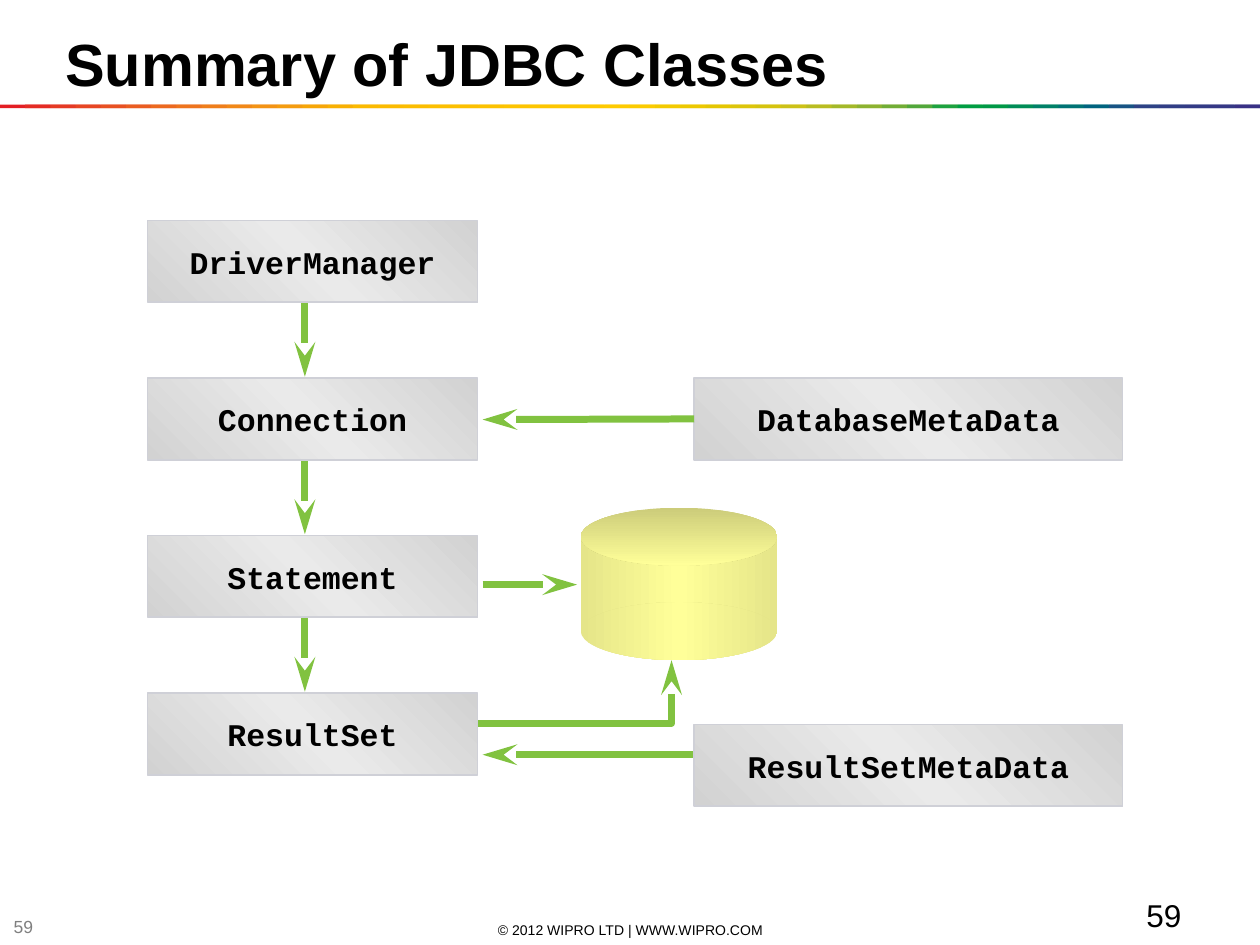
from copy import deepcopy

from pptx import Presentation
from pptx.dml.color import RGBColor as RGB
from pptx.enum.shapes import MSO_CONNECTOR as LINK, MSO_SHAPE as FORM
from pptx.enum.text import MSO_ANCHOR as ANCHOR, PP_ALIGN as ALIGN
from pptx.oxml.ns import qn
from pptx.oxml.xmlchemy import OxmlElement as Tag
from pptx.util import Inches, Pt

COLORS = {
    "text": "000000", "muted": "7F7F7F", "arrow": "81C240", "edge": "CFD0D7",
    "gray": "D2D2D2", "light": "EAEAEA",
    "shade": "E5E589", "glow": "FFFF99", "lid": "CCCC7A",
}
RAINBOW = """
E31E24 E42C24 E53A24 E74623 E85122 EA5D21 EC691F EE741D EF7E1A F18817
F39314 F49C0F F6A607 F8B002 FBBA00 FBBB00 FBBD00 FCBF00 FCC000 FCC200
FDC400 FDC600 FDC700 FEC900 FECB00 FBCB00 F3CA00 ECC800 E4C602 DCC50A
D5C30E CCC117 B8BC21 A3B829 8CB230 71AD36 51A73B 1DA240 009D43 009846
008C57 008068 007275 00637F 185384 2E4285 313E85 333B85 353885 393185
""".split()


class Deck:
    """Holds the style and the current slide."""
    sans, mono = "Arial", "Courier New"

    def __init__(self):
        self.prs = Presentation()
        self.prs.slide_width, self.prs.slide_height = Inches(10), Inches(7.5)
        self.slide = self.prs.slides.add_slide(self.prs.slide_layouts[6])
        self.shapes = self.slide.shapes

    def words(self, shape, text, size, face, color="text", bold=False,
              align=ALIGN.LEFT, anchor=ANCHOR.MIDDLE, wrap=True):
        frame = shape.text_frame
        frame.text = text
        frame.word_wrap, frame.vertical_anchor = wrap, anchor
        para = frame.paragraphs[0]
        para.alignment = align
        font = para.runs[0].font
        font.size, font.name, font.bold = Pt(size), face, bold
        font.color.rgb = RGB.from_string(COLORS[color])

    def label(self, text, x, y, w, h, size, **style):
        box = self.shapes.add_textbox(*map(Inches, (x, y, w, h)))
        self.words(box, text, size, self.sans, **style)

    def form(self, kind, x, y, w, h):
        shape = self.shapes.add_shape(kind, *map(Inches, (x, y, w, h)))
        shape.shadow.inherit = False
        shape.line.fill.background()
        return shape

    def strip(self, x, y, w, h, color):
        fill = self.form(FORM.RECTANGLE, x, y, w, h).fill
        fill.solid()
        fill.fore_color.rgb = RGB.from_string(color)

    def blend(self, kind, x, y, w, h, names, angle):
        """Shape with evenly spaced gradient stops; angle is anticlockwise."""
        shape = self.form(kind, x, y, w, h)
        shape.fill.gradient()
        shape.fill.gradient_angle = angle
        stops = shape._element.spPr.find(".//" + qn("a:gsLst"))
        for _ in names[2:]:
            stops.append(deepcopy(stops[0]))
        for i, (stop, name) in enumerate(zip(shape.fill.gradient_stops, names)):
            stop.position = i / (len(names) - 1)
            stop.color.rgb = RGB.from_string(COLORS[name])
        return shape

    def box(self, text, x, y, w):
        shape = self.blend(FORM.RECTANGLE, x, y, w, 0.65,
                           ("gray", "light", "gray"), 45)
        shape.line.color.rgb = RGB.from_string(COLORS["edge"])
        shape.line.width = Pt(1)
        self.words(shape, text, 18, self.mono, bold=True,
                   align=ALIGN.CENTER, wrap=False)
        return shape

    def stroke(self, shape):
        """Thick green line with a long stealth head at its end."""
        shape.line.color.rgb = RGB.from_string(COLORS["arrow"])
        shape.line.width = Pt(4)
        line = shape.line._get_or_add_ln()
        line.append(Tag("a:round"))
        head = Tag("a:tailEnd")
        for key, value in (("type", "stealth"), ("w", "med"), ("len", "lg")):
            head.set(key, value)
        line.append(head)

    def arrow(self, x1, y1, x2, y2, source=None, site=0):
        link = self.shapes.add_connector(LINK.STRAIGHT,
                                         *map(Inches, (x1, y1, x2, y2)))
        self.stroke(link)
        link._element.spPr.append(Tag("a:effectLst"))
        if source is not None:
            link.begin_connect(source, site)

    def bend(self, *points):
        start, *rest = [(Inches(x), Inches(y)) for x, y in points]
        pen = self.shapes.build_freeform(*start)
        pen.add_line_segments(rest, close=False)
        shape = pen.convert_to_shape()
        shape.shadow.inherit = False
        shape.fill.background()
        self.stroke(shape)


def main():
    deck = Deck()

    # Footer and rainbow rule
    deck.label("© 2012 WIPRO LTD | WWW.WIPRO.COM", 3.42, 7.3, 3.17, 0.16, 8,
               align=ALIGN.CENTER)
    deck.label("59", 0.01, 7.27, 0.39, 0.16, 10, color="muted")
    step = 10 / len(RAINBOW)
    for i, color in enumerate(RAINBOW):
        x = i * step
        deck.strip(x, 0.83, min(2 * step, 10 - x), 0.03, color)
    deck.label("59", 9, 7.06, 0.96, 0.35, 18, anchor=ANCHOR.TOP)

    # Arrows down the class chain, and from statement to database
    top, pitch = 1.75, 1.25
    chain = ("DriverManager", "Connection", "Statement", "ResultSet")
    rows = [top + i * pitch for i in range(len(chain))]
    for y, below in zip(rows, rows[1:]):
        deck.arrow(2.42, y + 0.63, 2.42, below - 0.01)
    deck.arrow(3.83, 4.64, 4.58, 4.64)

    # Database cylinder: body, lid, base
    body = ("shade", "glow", "shade")
    for kind, y, h, names, angle in (
            (FORM.RECTANGLE, 4.28, 0.72, body, 0),
            (FORM.OVAL, 4.03, 0.46, ("lid", "glow"), 270),
            (FORM.OVAL, 4.78, 0.46, body, 0)):
        deck.blend(kind, 4.61, y, 1.56, h, names, angle)
    deck.bend((3.76, 5.74), (5.33, 5.74), (5.33, 5.24))

    # Class boxes and their metadata
    for name, y in zip(chain, rows):
        deck.box(name, 1.17, y, 2.62)
    meta = deck.box("DatabaseMetaData", 5.51, rows[1], 3.4)
    deck.arrow(5.51, 3.33, 3.83, 3.33, meta, 1)
    deck.arrow(5.5, 5.99, 3.83, 5.99)
    deck.box("ResultSetMetaData", 5.51, 5.75, 3.4)

    # Title
    deck.label("Summary of JDBC Classes", 0.42, 0, 9.58, 1, 34, bold=True)

    deck.prs.save("out.pptx")


if __name__ == "__main__":
    main()
